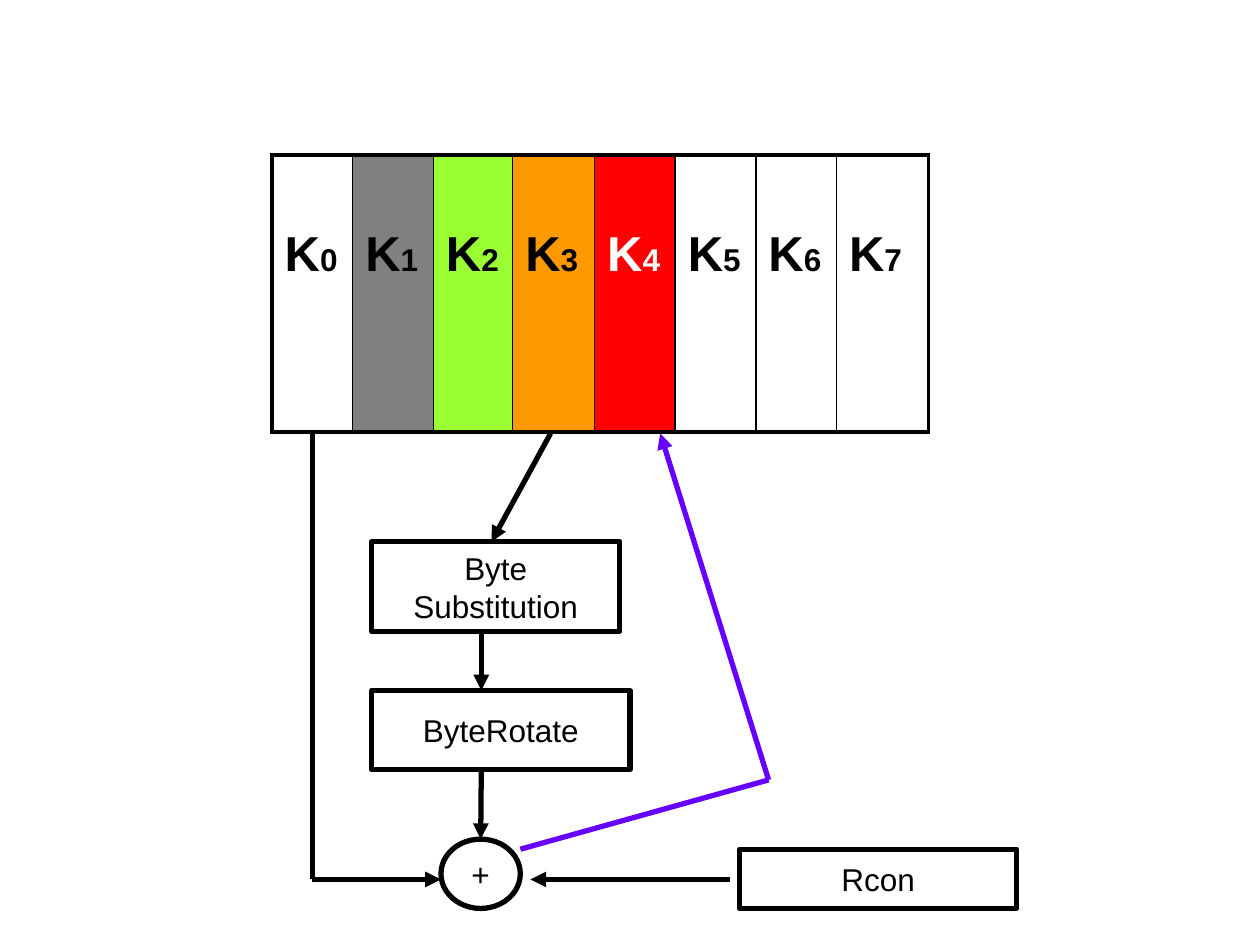
"""Build the key expansion slide: eight key words and the steps that derive K4."""
from dataclasses import dataclass

from lxml.etree import SubElement
from pptx import Presentation
from pptx.dml.color import RGBColor as Color
from pptx.enum.shapes import MSO_CONNECTOR as Connector, MSO_SHAPE as Shape
from pptx.enum.text import MSO_ANCHOR as Anchor, PP_ALIGN as Align
from pptx.oxml import parse_xml
from pptx.oxml.ns import nsdecls, qn
from pptx.util import Inches, Pt


@dataclass(frozen=True)
class Theme:
    font: str = "Arial"
    ink: str = "000000"
    paper: str = "FFFFFF"
    result: str = "6600FF"
    key_size: float = 28
    text_size: float = 18
    line: float = 3
    grid: float = 1
    frame: float = 2.25


class SlideBuilder:
    def __init__(self, slide, theme):
        self.slide = slide
        self.theme = theme

    def style_run(self, run, size, color, bold=False):
        run.font.name = self.theme.font
        run.font.size = Pt(size)
        run.font.bold = bold
        run.font.color.rgb = Color.from_string(color)

    def box(self, kind, left, top, width, height, text):
        theme = self.theme
        shape = self.slide.shapes.add_shape(
            kind, Inches(left), Inches(top), Inches(width), Inches(height))
        shape.shadow.inherit = False
        shape.fill.solid()
        shape.fill.fore_color.rgb = Color.from_string(theme.paper)
        shape.line.color.rgb = Color.from_string(theme.ink)
        shape.line.width = Pt(theme.line)
        frame = shape.text_frame
        frame.text = text
        frame.word_wrap = False
        frame.vertical_anchor = Anchor.MIDDLE
        for paragraph in frame.paragraphs:
            paragraph.alignment = Align.CENTER
            for run in paragraph.runs:
                self.style_run(run, theme.text_size, theme.ink)
        return shape

    def line(self, start, end, color=None, arrow=True):
        connector = self.slide.shapes.add_connector(
            Connector.STRAIGHT, *(Inches(value) for value in (*start, *end)))
        connector.line.color.rgb = Color.from_string(color or self.theme.ink)
        connector.line.width = Pt(self.theme.line)
        if arrow:
            SubElement(connector.line._get_or_add_ln(), qn("a:tailEnd"), type="triangle")
        SubElement(connector._element.spPr, qn("a:effectLst"))
        return connector

    def borders(self, cell, widths):
        properties = cell._tc.get_or_add_tcPr()
        for index, (side, width) in enumerate(zip("LRTB", widths)):
            properties.insert(index, parse_xml(
                f'<a:ln{side} {nsdecls("a")} w="{Pt(width)}"><a:solidFill>'
                f'<a:srgbClr val="{self.theme.ink}"/></a:solidFill></a:ln{side}>'))

    def key_table(self, left, top, height, columns):
        theme = self.theme
        total = sum(width for width, _, _ in columns)
        table = self.slide.shapes.add_table(
            1, len(columns), Inches(left), Inches(top), Inches(total), Inches(height)).table
        table.first_row = table.horz_banding = False
        table.rows[0].height = Inches(height)
        last = len(columns) - 1
        for index, (width, fill, color) in enumerate(columns):
            table.columns[index].width = Inches(width)
            cell = table.cell(0, index)
            cell.margin_top = Inches(0.57)
            cell.fill.solid()
            cell.fill.fore_color.rgb = Color.from_string(fill)
            self.borders(cell, (theme.frame if index == 0 else theme.grid,
                                theme.frame if index == last else theme.grid,
                                theme.frame, theme.frame))
            paragraph = cell.text_frame.paragraphs[0]
            for text, size in (("K", theme.key_size), (str(index), theme.text_size)):
                run = paragraph.add_run()
                run.text = text
                self.style_run(run, size, color, bold=True)


def main():
    presentation = Presentation()
    presentation.slide_width, presentation.slide_height = Inches(10), Inches(7.5)
    theme = Theme()
    slide = presentation.slides.add_slide(presentation.slide_layouts[6])
    builder = SlideBuilder(slide, theme)

    plain = (0.64, theme.paper, theme.ink)
    builder.key_table(2.16, 1.23, 2.2, [
        plain,
        (0.64, "808080", theme.ink),
        (0.63, "99FF33", theme.ink),
        (0.65, "FF9900", theme.ink),
        (0.64, "FF0000", theme.paper),
        plain,
        plain,
        (0.73, theme.paper, theme.ink),
    ])

    table_bottom, flow_x, sum_y = 3.44, 3.82, 6.98
    key_corner, result_corner = (2.48, sum_y), (6.1, 6.19)
    builder.line((2.48, table_bottom), key_corner, arrow=False)
    builder.box(Shape.RECTANGLE, 2.95, 4.3, 1.97, 0.71, "Byte\nSubstitution")
    builder.box(Shape.RECTANGLE, 2.95, 5.48, 2.05, 0.63, "ByteRotate")
    builder.line((4.37, table_bottom), (3.9, 4.3))
    builder.line((flow_x, 5.01), (flow_x, 5.48))
    rotate_arrow = builder.line((flow_x, 6.11), (flow_x, 6.66))
    adder = builder.box(Shape.OVAL, 3.5, 6.66, 0.63, 0.55, "+")
    rotate_arrow.end_connect(adder, 0)
    builder.line(key_corner, (3.5, sum_y))
    builder.box(Shape.RECTANGLE, 5.87, 6.74, 2.2, 0.47, "Rcon")
    builder.line((5.79, sum_y), (4.21, sum_y))
    builder.line((4.13, 6.74), result_corner, theme.result, arrow=False)
    builder.line(result_corner, (5.24, table_bottom), theme.result)

    presentation.save("out.pptx")


if __name__ == "__main__":
    main()
